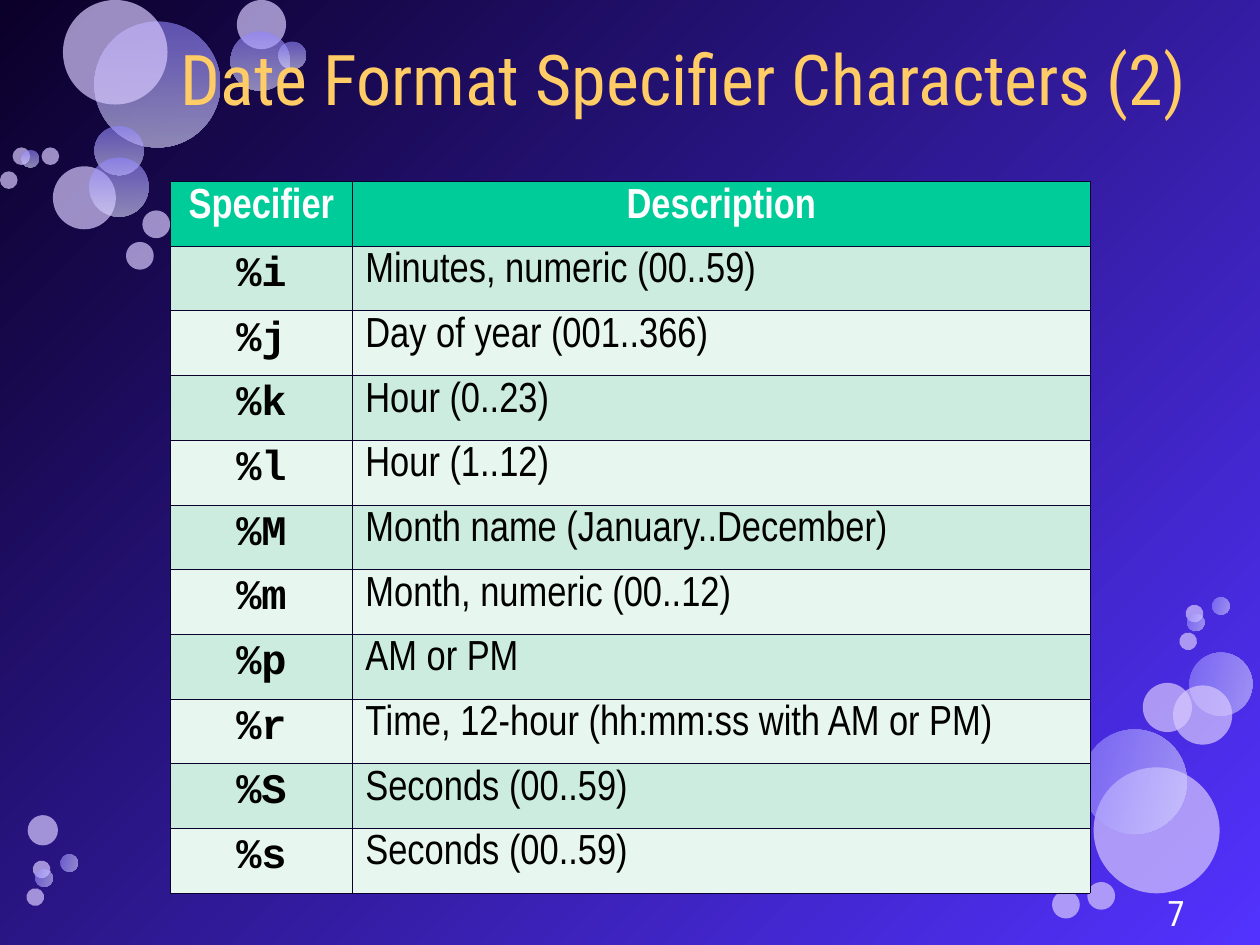
from lxml import etree
from pptx import Presentation
from pptx import util as u
from pptx.dml.color import RGBColor
from pptx.enum import shapes, text
from pptx.oxml import ns

TITLE = "Date Format Specifier Characters (2)"
PAGE = "7"
HEADER = ("Specifier", "Description")
ROWS = [
    ("%i", "Minutes, numeric (00..59)"),
    ("%j", "Day of year (001..366)"),
    ("%k", "Hour (0..23)"),
    ("%l", "Hour (1..12)"),
    ("%M", "Month name (January..December)"),
    ("%m", "Month, numeric (00..12)"),
    ("%p", "AM or PM"),
    ("%r", "Time, 12-hour (hh:mm:ss with AM or PM)"),
    ("%S", "Seconds (00..59)"),
    ("%s", "Seconds (00..59)"),
]

# Bubbles from back to front: left, top, diameter, kind
UPRIGHT_BUBBLES = [
    (0.75, 0.17, 1, "shaded"), (0.42, 1.32, 0.5, "plain"),
    (0.75, 1, 0.39, "shaded"), (0.71, 1.25, 0.47, "shaded"),
    (0.5, 0, 0.83, "plain"), (1.88, 0, 0.39, "plain"),
    (1.83, 0.25, 0.47, "shaded"), (2.21, 0.33, 0.22, "shaded"),
    (1.13, 1.67, 0.22, "plain"), (0.1, 1.17, 0.14, "plain"),
    (1, 1.92, 0.22, "plain"), (0, 1.36, 0.14, "plain"),
    (0.17, 1.19, 0.14, "shaded"), (0.33, 1.17, 0.14, "plain"),
]
TURNED_BUBBLES = [
    (8.68, 6.09, 1, "plain"), (9.44, 5.18, 0.5, "shaded"),
    (9.07, 5.42, 0.39, "plain"), (9.31, 5.44, 0.47, "plain"),
    (8.59, 5.79, 0.83, "shaded"), (0.22, 6.47, 0.24, "plain"),
    (8.35, 7.07, 0.22, "plain"), (9.41, 4.8, 0.14, "plain"),
    (8.63, 7, 0.22, "plain"), (9.62, 4.74, 0.14, "shaded"),
    (9.42, 4.87, 0.14, "shaded"), (9.36, 5.02, 0.14, "plain"),
    (0.26, 6.83, 0.14, "plain"), (0.48, 6.78, 0.14, "shaded"),
    (0.28, 6.9, 0.14, "shaded"), (0.21, 7.05, 0.14, "plain"),
]
TURN = 103.3

THEME = {
    "background": ("0B0029", "5332FF"),
    "bubble": "D7C8FE", "bubble_alpha": 70,
    "shade": ("9185FF", "DEDCFF"), "shade_alpha": 60,
    "title": "FFCC66", "light": "FFFFFF", "dark": "000000",
    "header": "00CC99", "bands": ("CBECDE", "E7F6EF"),
    "border": "0C002C", "border_pt": 0.45,
    "title_font": "Roboto Condensed", "body_font": "Arial Narrow",
    "code_font": "Courier New",
    "title_size": 40, "table_size": 24, "page_size": 20,
}
TABLE = {"left": 1.35, "top": 1.44, "height": 5.65, "cols": (1.45, 5.85)}
LEFT, CENTER, RIGHT = (text.PP_ALIGN.LEFT, text.PP_ALIGN.CENTER,
                       text.PP_ALIGN.RIGHT)


def rgb(value):
    return RGBColor.from_string(value)


def fill_gradient(fill, colors, angle):
    """Angle runs counter-clockwise, in degrees."""
    fill.gradient()
    fill.gradient_angle = angle
    for stop, color in zip(fill.gradient_stops, colors):
        stop.color.rgb = rgb(color)


def add_bubble(s, left, top, size, kind, turned=False):
    sp = s.shapes.add_shape(shapes.MSO_SHAPE.OVAL, u.Inches(left),
                            u.Inches(top), u.Inches(size), u.Inches(size))
    sp.shadow.inherit = False
    sp.line.fill.background()
    if kind == "shaded":
        fill_gradient(sp.fill, THEME["shade"], 270)
        alpha = THEME["shade_alpha"]
    else:
        sp.fill.solid()
        sp.fill.fore_color.rgb = rgb(THEME["bubble"])
        alpha = THEME["bubble_alpha"]
    spPr = sp._element.spPr
    for color in spPr.iter(ns.qn("a:srgbClr")):
        etree.SubElement(color, ns.qn("a:alpha"), val=str(alpha * 1000))
    if turned:
        sp.rotation = TURN
        spPr.find(ns.qn("a:xfrm")).set("flipV", "1")


def write(tf, content, *, font, size, color, bold=False, align=LEFT,
          spacing=0.85):
    p = tf.paragraphs[0]
    p.alignment = align
    p.line_spacing = spacing
    r = p.add_run()
    r.text = content
    r.font.name = font
    r.font.size = u.Pt(size)
    r.font.bold = bold
    r.font.color.rgb = rgb(color)


def add_text(s, box, content, margins=(0, 0), **style):
    tf = s.shapes.add_textbox(*map(u.Inches, box)).text_frame
    tf.word_wrap = True
    tf.vertical_anchor = text.MSO_ANCHOR.MIDDLE
    tf.margin_left = tf.margin_right = u.Inches(margins[0])
    tf.margin_top = tf.margin_bottom = u.Inches(margins[1])
    write(tf, content, **style)


def add_borders(cell):
    """Call before filling the cell: lines must precede the fill in the XML."""
    tcPr = cell._tc.get_or_add_tcPr()
    for side in ("lnL", "lnR", "lnT", "lnB"):
        ln = etree.SubElement(tcPr, ns.qn("a:" + side),
                              w=str(u.Pt(THEME["border_pt"])))
        solid = etree.SubElement(ln, ns.qn("a:solidFill"))
        etree.SubElement(solid, ns.qn("a:srgbClr"), val=THEME["border"])


def cell_style(row, col):
    style = {"font": THEME["body_font"], "size": THEME["table_size"],
             "color": THEME["dark"], "spacing": 0.96}
    if row == 0:
        style.update(color=THEME["light"], bold=True, align=CENTER)
    elif col == 0:
        style.update(font=THEME["code_font"], bold=True, align=CENTER,
                     spacing=0.89)
    return style


def add_specifier_table(s):
    data = [HEADER] + ROWS
    widths = TABLE["cols"]
    table = s.shapes.add_table(
        len(data), len(widths), u.Inches(TABLE["left"]),
        u.Inches(TABLE["top"]), u.Inches(sum(widths)),
        u.Inches(TABLE["height"])).table
    table.horz_banding = False
    for column, width in zip(table.columns, widths):
        column.width = u.Inches(width)
    for i, values in enumerate(data):
        table.rows[i].height = u.Inches(TABLE["height"] / len(data))
        fill = THEME["bands"][(i - 1) % 2] if i else THEME["header"]
        for j, value in enumerate(values):
            cell = table.cell(i, j)
            add_borders(cell)
            cell.fill.solid()
            cell.fill.fore_color.rgb = rgb(fill)
            write(cell.text_frame, value, **cell_style(i, j))


def main():
    prs = Presentation()
    prs.slide_width, prs.slide_height = u.Inches(10), u.Inches(7.5)
    s = prs.slides.add_slide(prs.slide_layouts[6])
    fill_gradient(s.background.fill, THEME["background"], 315)
    for bubble in UPRIGHT_BUBBLES:
        add_bubble(s, *bubble)
    for bubble in TURNED_BUBBLES:
        add_bubble(s, *bubble, turned=True)
    add_text(s, (1.04, 0.23, 8.77, 0.88), TITLE, align=CENTER,
             font=THEME["title_font"], size=THEME["title_size"],
             color=THEME["title"])
    add_specifier_table(s)
    add_text(s, (7.17, 7.13, 2.33, 0.28), PAGE, margins=(0.1, 0.05),
             align=RIGHT, font=THEME["title_font"],
             size=THEME["page_size"], color=THEME["light"])
    prs.save("out.pptx")


if __name__ == "__main__":
    main()
